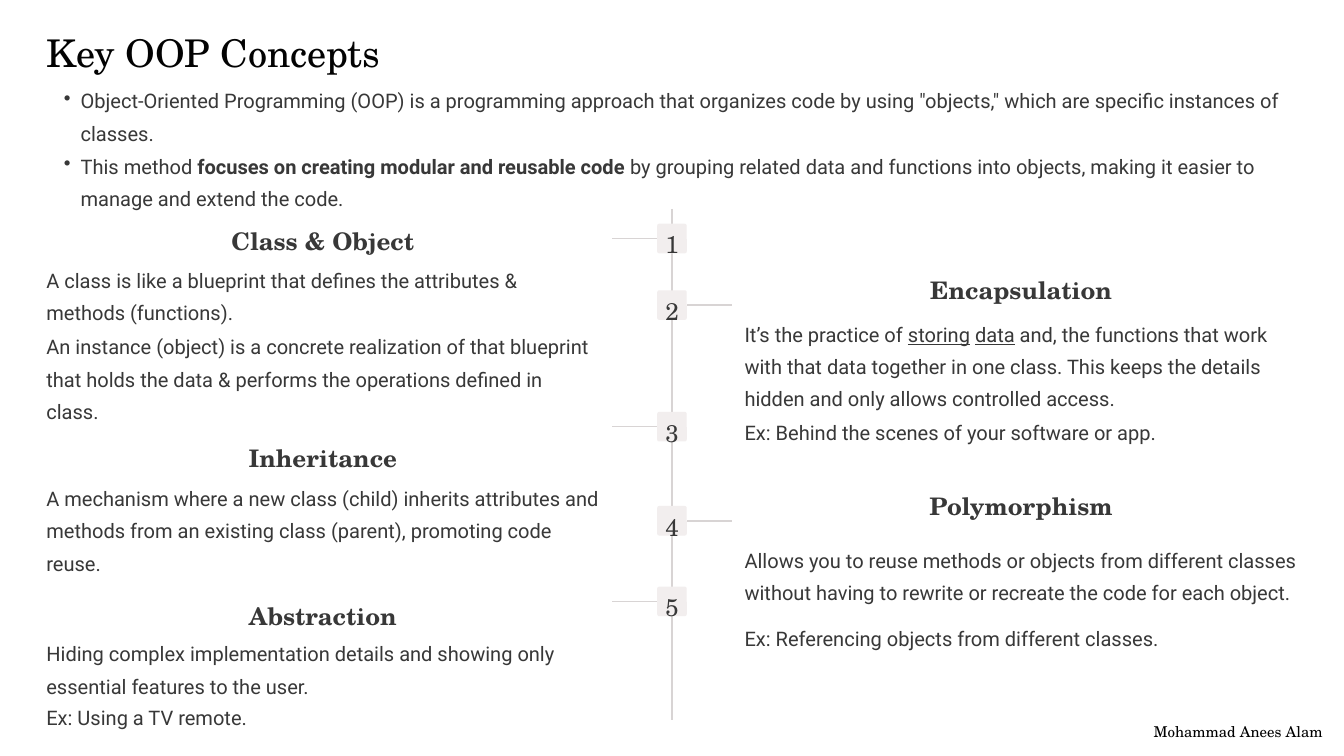
from lxml import etree
from pptx import Presentation
from pptx.dml.color import RGBColor
from pptx.enum.shapes import MSO_CONNECTOR, MSO_SHAPE
from pptx.enum.text import MSO_ANCHOR, PP_ALIGN
from pptx.oxml.ns import qn
from pptx.util import Pt

PX = 9144  # EMU per px, 100 px to the inch
LEFT, CENTER = PP_ALIGN.LEFT, PP_ALIGN.CENTER
TOP, MIDDLE, BOTTOM = MSO_ANCHOR.TOP, MSO_ANCHOR.MIDDLE, MSO_ANCHOR.BOTTOM
STRAIGHT, ROUNDED = MSO_CONNECTOR.STRAIGHT, MSO_SHAPE.ROUNDED_RECTANGLE

SERIF, SANS = "TeX Gyre Schola", "Roboto"
INK, RULE, TILE = "383838", "D8D4D4", "F2EEEE"

prs = Presentation()
prs.slide_width, prs.slide_height = 2000 * PX, 1125 * PX
slide = prs.slides.add_slide(prs.slide_layouts[6])


def add_text(x, y, w, h, parts, size=21.5, leading=34.5, face=SANS, color=INK,
             align=LEFT, anchor=MIDDLE, bold=None, emphasis="bold", bullet=False):
    """Add a one-paragraph box; every second entry of parts gets the emphasis."""
    box = slide.shapes.add_textbox(x * PX, y * PX, w * PX, h * PX)
    frame = box.text_frame
    frame.word_wrap = True
    frame.vertical_anchor = anchor
    frame.margin_left = frame.margin_right = frame.margin_top = frame.margin_bottom = 0
    paragraph = frame.paragraphs[0]
    if bullet:
        paragraph.level = 1
        props = paragraph._p.get_or_add_pPr()
        props.set("marL", str(51 * PX))
        props.set("indent", str(-25 * PX))
        etree.SubElement(props, qn("a:buChar")).set("char", "•")
    paragraph.alignment = align
    paragraph.line_spacing = Pt(leading)
    font = paragraph.font
    font.size, font.name, font.bold = Pt(size), face, bold
    font.color.rgb = RGBColor.from_string(color)
    for i, part in enumerate(parts):
        run = paragraph.add_run()
        run.text = part
        if i % 2:
            setattr(run.font, emphasis, True)


def add_rule(x1, y1, x2, y2):
    rule = slide.shapes.add_connector(STRAIGHT, x1 * PX, y1 * PX, x2 * PX, y2 * PX)
    rule.line.color.rgb = RGBColor.from_string(RULE)
    rule.line.width = Pt(1.5)
    etree.SubElement(rule._element.spPr, qn("a:effectLst"))
    return rule


# Title and introduction
add_text(69, 32, 534, 89, ["Key OOP Concepts"], 40.9, 51.3, SERIF, "020202")
intro = [
    (118, ['Object-Oriented Programming (OOP) is a programming approach that organizes '
           'code by using "objects," which are specific instances of classes.']),
    (215, ["This method ", "focuses on creating modular and reusable code",
           " by grouping related data and functions into objects, making it easier to "
           "manage and extend the code."]),
]
for y, parts in intro:
    add_text(69, y, 1862, 100, parts, bullet=True)

# Timeline: tile top, heading top, heading, then (top, height, parts) of each body text
concepts = [
    (333, 329, "Class & Object", [
        (385, 100, ["A class is like a blueprint that defines the attributes & "
                    "methods (functions)."]),
        (484, 148, ["An instance (object) is a concrete realization of that blueprint that "
                    "holds the data & performs the operations defined in class."])]),
    (432, 403, "Encapsulation", [
        (465, 148, ["It’s the practice of ", "storing", " ", "data",
                    " and, the functions that work with that data together in one class. "
                    "This keeps the details hidden and only allows controlled access."]),
        (612, 52, ["Ex: Behind the scenes of your software or app."])]),
    (613, 653, "Inheritance", [
        (710, 148, ["A mechanism where a new class (child) inherits attributes and methods "
                    "from an existing class (parent), promoting code reuse."])]),
    (753, 724, "Polymorphism", [
        (778, 148, ["Allows you to reuse methods or objects from different classes without "
                    "having to rewrite or recreate the code for each object."]),
        (918, 52, ["Ex: Referencing objects from different classes."])]),
    (873, 888, "Abstraction", [
        (941, 100, ["Hiding complex implementation details and showing only essential "
                    "features to the user."]),
        (1036, 52, ["Ex: Using a TV remote."])]),
]
add_rule(1000, 311, 1000, 1071)
for number, (tile_y, heading_y, heading, bodies) in enumerate(concepts, 1):
    on_left = number % 2 == 1
    tile = slide.shapes.add_shape(ROUNDED, 978 * PX, tile_y * PX, 44 * PX, 44 * PX)
    tile.adjustments[0] = 0.07
    tile.shadow.inherit = False
    tile.fill.solid()
    tile.fill.fore_color.rgb = RGBColor.from_string(TILE)
    tile.line.fill.background()

    branch_y = tile_y + 22
    outer_x, inner_x, side = (911, 978, 1) if on_left else (1089, 1022, 3)
    branch = add_rule(outer_x, branch_y, inner_x, branch_y)
    branch.end_connect(tile, side)

    add_text(988, tile_y + 2, 24, 50, [str(number)], 25.9, 25.9, SERIF,
             align=CENTER, anchor=BOTTOM)
    add_text(325 if on_left else 1364, heading_y, 311, 56, [heading], 25.9, 32.5, SERIF,
             align=CENTER, bold=True)
    for y, height, parts in bodies:
        add_text(69 if on_left else 1108, y, 823, height, parts, emphasis="underline")

add_text(1675, 1076, 335, 27, ["Mohammad Anees Alam"], 16, 19, SERIF, "000000",
         align=CENTER, anchor=TOP)

prs.save("out.pptx")
